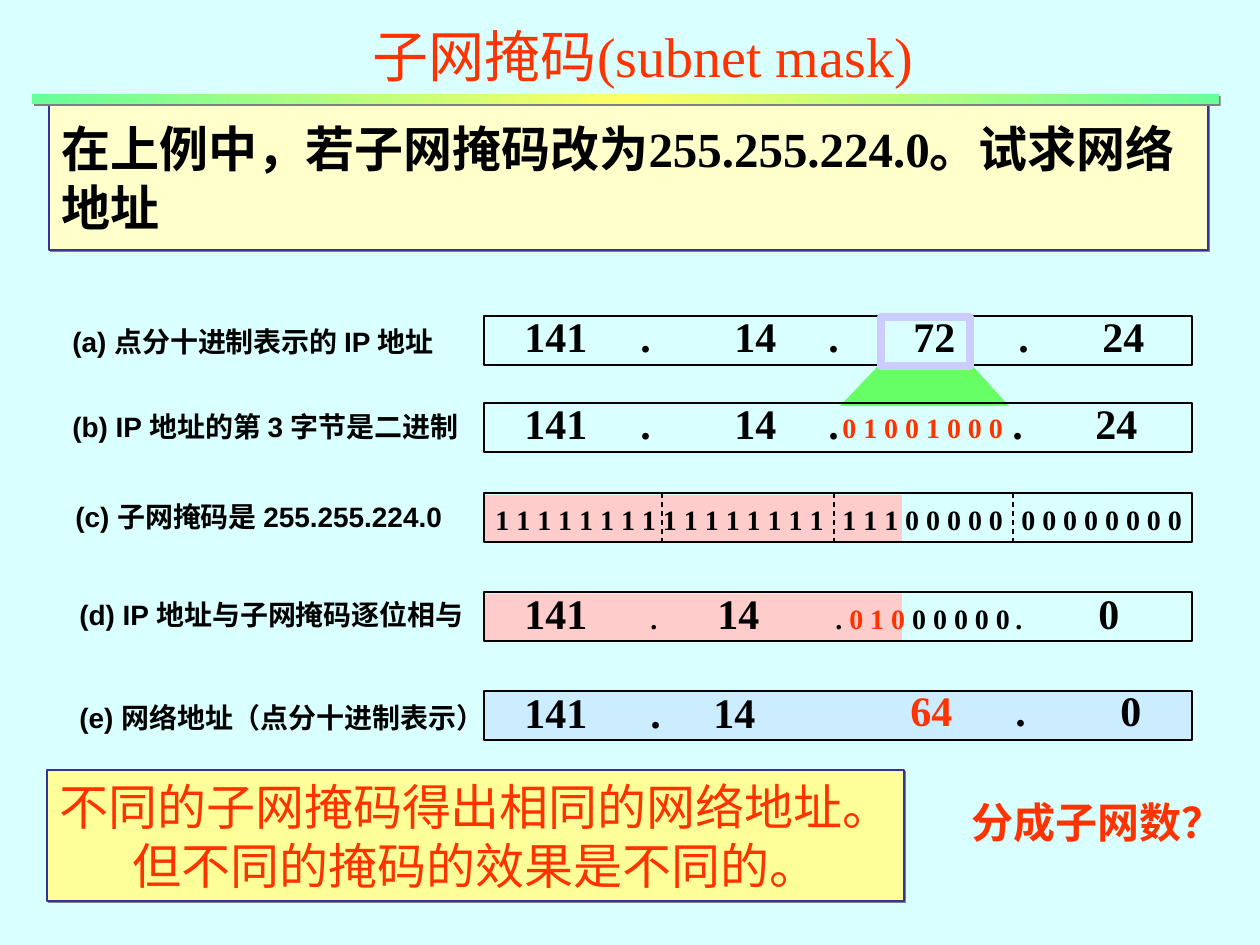
import pptx
import pptx.dml.color
import pptx.enum.dml
import pptx.enum.shapes
import pptx.enum.text
import pptx.oxml.ns
import pptx.util
from copy import deepcopy
from lxml import etree

EMU_PER_PX = 914400 / 126
COLORS = {
    "background": "D9FFFF", "black": "000000", "red": "FF3300",
    "task": "FFFFCC", "remark": "FFFF99", "frame": "333399",
    "shadow": "808080", "masked": "FFCCCC", "result": "CCECFF",
    "beam": "66FF66", "octet": "CCCCFF",
    "bar_end": "66FF99", "bar_middle": "FFFF66",
}
ROW_LEFT, ROW_WIDTH, ROW_HEIGHT = 484, 708, 49
ROW_TOPS = {"a": 316, "b": 403, "c": 493, "d": 592, "e": 691}
SERIF, SANS = "Times New Roman", "Arial"
ALIGN = pptx.enum.text.PP_ALIGN
ANCHOR = pptx.enum.text.MSO_ANCHOR


def px(length):
    return pptx.util.Emu(round(length * EMU_PER_PX))


def rgb(name):
    return pptx.dml.color.RGBColor.from_string(COLORS[name])


def add_xml(parent, tag, **attributes):
    element = etree.SubElement(parent, pptx.oxml.ns.qn(tag))
    for key, value in attributes.items():
        element.set(key, str(value))
    return element


def add_shadow(shape):
    effects = shape._element.spPr.find(pptx.oxml.ns.qn("a:effectLst"))
    outer = add_xml(effects, "a:outerShdw", dist=17961, dir=2700000, algn="ctr", rotWithShape=0)
    add_xml(outer, "a:srgbClr", val=COLORS["shadow"])


def style_shape(shape, fill, line, line_width):
    shape.shadow.inherit = False
    if fill:
        shape.fill.solid()
        shape.fill.fore_color.rgb = rgb(fill)
    else:
        shape.fill.background()
    if line:
        shape.line.color.rgb = rgb(line)
        shape.line.width = pptx.util.Pt(line_width)
    else:
        shape.line.fill.background()


def add_box(slide, x, y, w, h, fill=None, line=None, line_width=0.75, shadow=False):
    box = slide.shapes.add_shape(
        pptx.enum.shapes.MSO_SHAPE.RECTANGLE, px(x), px(y), px(w), px(h))
    style_shape(box, fill, line, line_width)
    if shadow:
        add_shadow(box)
    return box


def write(shape, paragraphs, size=24, font=SERIF, color="black", bold=True,
          align=ALIGN.LEFT, anchor=ANCHOR.TOP, tabs=(), wrap=True):
    """Each paragraph is a string or a list of (string, format changes)."""
    frame = shape.text_frame
    frame.word_wrap = wrap
    frame.vertical_anchor = anchor
    for index, content in enumerate(paragraphs):
        paragraph = frame.add_paragraph() if index else frame.paragraphs[0]
        paragraph.alignment = align
        if tabs:
            tab_list = add_xml(paragraph._p.get_or_add_pPr(), "a:tabLst")
            for tab in tabs:
                add_xml(tab_list, "a:tab", pos=px(tab), algn="l")
        runs = [(content, {})] if isinstance(content, str) else content
        for words, changes in runs:
            run = paragraph.add_run()
            run.text = words
            run.font.name = font
            run.font.bold = bold
            run.font.size = pptx.util.Pt(changes.get("size", size))
            run.font.color.rgb = rgb(changes.get("color", color))


def add_text(slide, content, x, y, w, h, **text_format):
    box = slide.shapes.add_textbox(px(x), px(y), px(w), px(h))
    write(box, [content], **text_format)


def add_octet_divider(slide, x):
    top = ROW_TOPS["c"]
    divider = slide.shapes.add_connector(
        pptx.enum.shapes.MSO_CONNECTOR.STRAIGHT, px(x), px(top), px(x), px(top + ROW_HEIGHT))
    divider.line.color.rgb = rgb("black")
    divider.line.width = pptx.util.Pt(0.75)
    divider.line.dash_style = pptx.enum.dml.MSO_LINE.DASH
    add_xml(divider._element.spPr, "a:effectLst")


def add_beam(slide):
    """Trapezoid that spreads the third octet into its bits."""
    builder = slide.shapes.build_freeform(881, 363, scale=EMU_PER_PX)
    builder.add_line_segments([(970, 363), (1009, 406), (840, 406)], close=True)
    style_shape(builder.convert_to_shape(), "beam", None, 0)


def add_title_bar(slide):
    bar = add_box(slide, 32, 94, 1187, 10, fill="bar_end", shadow=True)
    bar.fill.gradient()
    bar.fill.gradient_angle = 0
    stops = bar.fill.gradient_stops
    for stop, position in zip(stops, (0, 1)):
        stop.color.rgb = rgb("bar_end")
        stop.position = position
    first = stops[0]._gs
    first.addnext(deepcopy(first))
    middle = bar.fill.gradient_stops[1]
    middle.position = 0.5
    middle.color.rgb = rgb("bar_middle")


def add_header(slide):
    task = add_box(slide, 49, 105, 1159, 145, "task", "frame", shadow=True)
    write(task, ["在上例中，若子网掩码改为255.255.224.0。试求网络地址"],
          size=28, anchor=ANCHOR.MIDDLE)
    add_text(slide, "子网掩码(subnet mask)", 123, 0, 1040, 110, size=32, color="red",
             bold=False, align=ALIGN.CENTER, anchor=ANCHOR.MIDDLE)
    add_title_bar(slide)


def add_rows(slide):
    for row in "cd":
        add_box(slide, 485, ROW_TOPS[row] + 2, 417, 47, "masked")
    add_beam(slide)
    for row, top in ROW_TOPS.items():
        add_box(slide, ROW_LEFT, top, ROW_WIDTH, ROW_HEIGHT,
                "result" if row == "e" else None, "black")
    for x in (662, 834, 1013):
        add_octet_divider(slide, x)
    add_box(slide, 881, 317, 89, ROW_HEIGHT, line="octet", line_width=4.5)


def add_labels(slide):
    labels = [
        ("(a) 点分十进制表示的 IP 地址", 60, 318),
        ("(b) IP 地址的第 3 字节是二进制", 60, 403),
        ("(c) 子网掩码是 255.255.224.0", 63, 493),
        ("(d) IP 地址与子网掩码逐位相与", 67, 591),
        ("(e) 网络地址（点分十进制表示）", 67, 694),
    ]
    for label, x, y in labels:
        add_text(slide, label, x, y, 450, 45, size=16, font=SANS)


def add_addresses(slide):
    small = {"size": 16}
    masked_bits = [
        ("141\t", {}), (".\t", small), ("14\t", {}), (". ", small),
        ("0 1 0", {"size": 16, "color": "red"}), (" 0 0 0 0 0", small),
    ]
    addresses = [
        ("141\t.\t14\t.", "a", 512, -12, 340, (116, 210, 304)),
        ("72\t.\t24", "a", 901, -12, 270, (105, 189)),
        ("141\t.\t14\t.", "b", 512, -12, 340, (116, 210, 304)),
        (".\t24", "b", 1000, -12, 160, (83,)),
        (masked_bits, "d", 512, -11, 530, (126, 193, 311)),
        ([(".\t", small), ("0", {})], "d", 1003, -11, 140, (83,)),
        ("141\t.\t14\t.", "e", 512, -11, 350, (126, 189, 315)),
        ([("64", {"color": "red"}), ("\t.\t0", {})], "e", 898, -13, 270, (105, 210)),
    ]
    for content, row, x, offset, width, tabs in addresses:
        add_text(slide, content, x, ROW_TOPS[row] + offset, width, 63, tabs=tabs)

    ones = " ".join("1" * 16)
    bits = [
        (ones + "\t1 1 1 0 0 0 0 0", 483, 496, 560, "black", (347,)),
        ("0 0 0 0 0 0 0 0", 1009, 496, 200, "black", ()),
        ("0 1 0 0 1 0 0 0", 830, 404, 200, "red", ()),
    ]
    for octets, x, y, width, color, tabs in bits:
        add_text(slide, octets, x, y, width, 45, size=16, color=color, tabs=tabs)


def add_conclusion(slide):
    remark = add_box(slide, 47, 770, 857, 131, "remark", "frame", shadow=True)
    write(remark, ["不同的子网掩码得出相同的网络地址。", "但不同的掩码的效果是不同的。"],
          size=28, font="Lato", color="red", bold=False, align=ALIGN.CENTER, wrap=False)
    add_text(slide, "分成子网数？", 959, 790, 290, 63, color="red")


def main():
    deck = pptx.Presentation()
    deck.slide_width, deck.slide_height = px(1260), px(945)
    slide = deck.slides.add_slide(deck.slide_layouts[6])
    slide.background.fill.solid()
    slide.background.fill.fore_color.rgb = rgb("background")
    add_header(slide)
    add_rows(slide)
    add_labels(slide)
    add_addresses(slide)
    add_conclusion(slide)
    deck.save("out.pptx")


if __name__ == "__main__":
    main()
